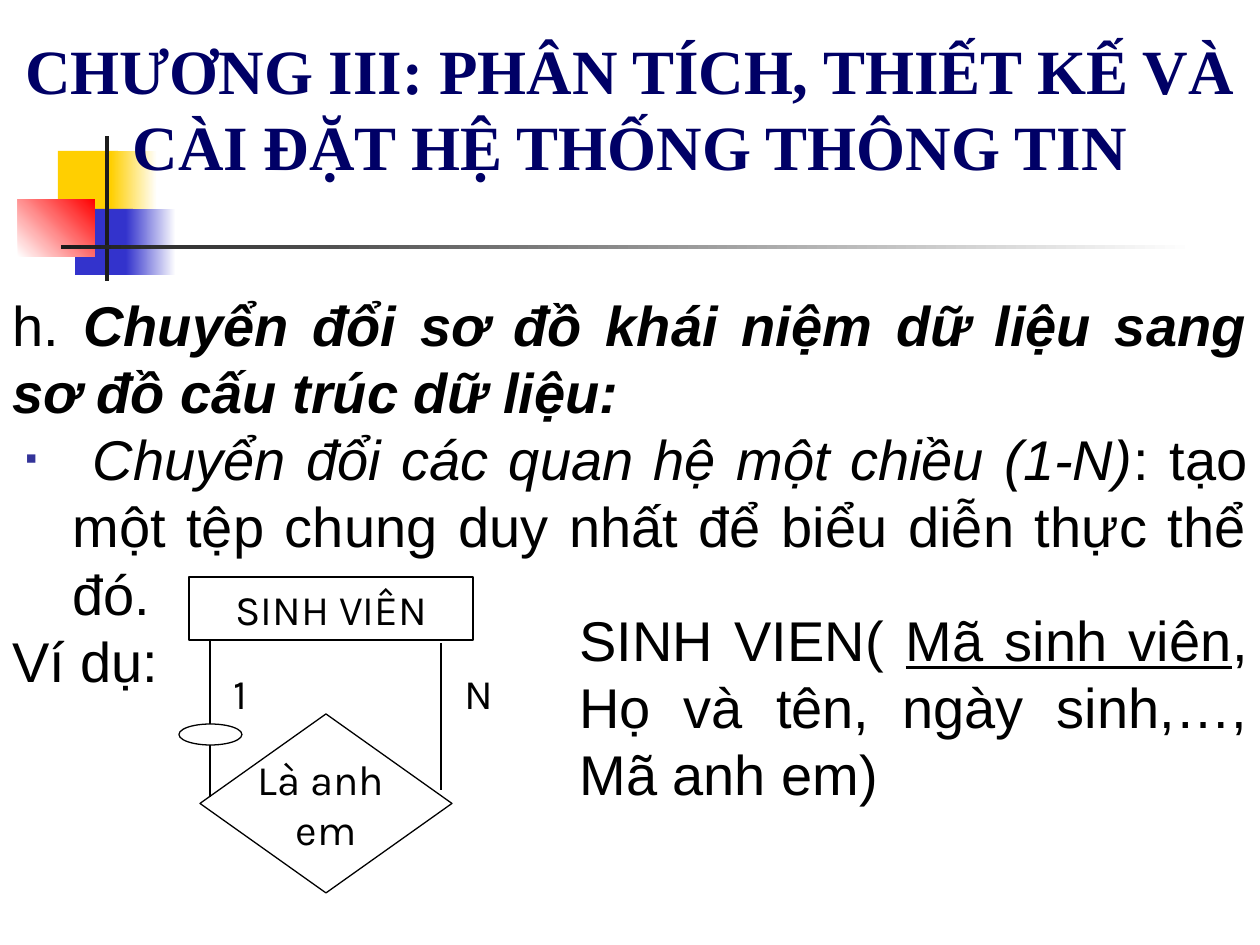
from dataclasses import dataclass

from lxml import etree
from pptx import Presentation
from pptx.dml.color import RGBColor
from pptx.enum.shapes import MSO_CONNECTOR, MSO_SHAPE
from pptx.enum.text import MSO_ANCHOR, PP_ALIGN
from pptx.oxml.ns import qn
from pptx.util import Pt

RECTANGLE, DIAMOND, OVAL = MSO_SHAPE.RECTANGLE, MSO_SHAPE.DIAMOND, MSO_SHAPE.OVAL
STRAIGHT = MSO_CONNECTOR.STRAIGHT
TOP, MIDDLE, BOTTOM = MSO_ANCHOR.TOP, MSO_ANCHOR.MIDDLE, MSO_ANCHOR.BOTTOM
LEFT, CENTER, JUSTIFY = PP_ALIGN.LEFT, PP_ALIGN.CENTER, PP_ALIGN.JUSTIFY

PX_PER_INCH = 126
SLIDE_BOX = (0, 0, 1260, 945)


@dataclass(frozen=True)
class Theme:
    white: str = "FFFFFF"
    ink: str = "000000"
    title: str = "000066"
    bullet: str = "333399"
    yellow: str = "FFCF01"
    blue: str = "3333CC"
    red: str = "FF0000"
    bar: str = "1C1C1C"
    outline: float = 0.75


THEME = Theme()
TITLE = {"name": "Times New Roman", "size": Pt(36), "bold": True, "color": THEME.title}
BODY = {"name": "Arial", "size": Pt(32), "color": THEME.ink}
LABEL = {"name": "Karla", "size": Pt(24), "color": THEME.ink}


def px(length):
    return round(length * 914400 / PX_PER_INCH)


def place(box, left, top, width, height):
    """Turn a position relative to box into slide EMU."""
    return [px(n) for n in (box[0] + left, box[1] + top, width, height)]


def add_paragraph(frame, runs, align, first=False):
    """Add runs, given as (text, format) pairs, as one paragraph."""
    paragraph = frame.paragraphs[0] if first else frame.add_paragraph()
    paragraph.alignment = align
    for text, style in runs:
        run = paragraph.add_run()
        run.text = text
        for attribute, value in style.items():
            if attribute == "color":
                run.font.color.rgb = RGBColor.from_string(value)
            else:
                setattr(run.font, attribute, value)
    return paragraph


def fill_text(shape, paragraphs, align, anchor=TOP, wrap=True):
    frame = shape.text_frame
    frame.word_wrap = wrap
    frame.vertical_anchor = anchor
    return [add_paragraph(frame, runs, align, first=index == 0)
            for index, runs in enumerate(paragraphs)]


def add_text(slide, position, paragraphs, align, anchor=TOP):
    return fill_text(slide.shapes.add_textbox(*position), paragraphs, align, anchor)


def add_block(slide, position, colors, angle=0):
    """Add a borderless rectangle, solid or with a two-colour gradient."""
    block = slide.shapes.add_shape(RECTANGLE, *position)
    block.shadow.inherit = False
    block.line.fill.background()
    if len(colors) == 1:
        block.fill.solid()
        block.fill.fore_color.rgb = RGBColor.from_string(colors[0])
        return
    block.fill.gradient()
    block.fill.gradient_angle = angle
    for stop, color in zip(block.fill.gradient_stops, colors):
        stop.color.rgb = RGBColor.from_string(color)


def set_outline(line):
    line.color.rgb = RGBColor.from_string(THEME.ink)
    line.width = Pt(THEME.outline)


def add_node(slide, kind, position):
    node = slide.shapes.add_shape(kind, *position)
    node.shadow.inherit = False
    node.fill.solid()
    node.fill.fore_color.rgb = RGBColor.from_string(THEME.white)
    set_outline(node.line)
    return node


def add_vertical_link(slide, box, x, top, bottom):
    left, start, _, height = place(box, x, top, 0, bottom - top)
    link = slide.shapes.add_connector(STRAIGHT, left, start, left, start + height)
    set_outline(link.line)
    etree.SubElement(link.element.spPr, qn("a:effectLst"))


def set_bullet(paragraph, char, margin, hang):
    properties = paragraph._p.get_or_add_pPr()
    properties.set("marL", str(px(margin)))
    properties.set("indent", str(-px(hang)))
    color = etree.SubElement(properties, qn("a:buClr"))
    etree.SubElement(color, qn("a:srgbClr"), val=THEME.bullet)
    etree.SubElement(properties, qn("a:buSzPct"), val="60000")
    etree.SubElement(properties, qn("a:buFont"), typeface="Arial")
    etree.SubElement(properties, qn("a:buChar"), char=char)


def draw_ornament(slide, box):
    t = THEME
    blocks = [
        ((40, 15, 60, 66), [t.yellow], 0),
        ((93, 15, 46, 66), [t.yellow, t.white], 0),
        ((57, 73, 58, 66), [t.blue], 0),
        ((108, 73, 50, 66), [t.blue, t.white], 0),
        ((0, 63, 77, 58), [t.white, t.red], 45),
        ((87, 0, 4, 145), [t.bar], 0),
        ((43, 109, 1134, 4), [t.bar, t.white], 0),
    ]
    for part, colors, angle in blocks:
        add_block(slide, place(box, *part), colors, angle)


def draw_title(slide, box):
    heading = "CHƯƠNG III: PHÂN TÍCH, THIẾT KẾ VÀ CÀI ĐẶT HỆ THỐNG THÔNG TIN"
    add_text(slide, place(box, 0, 0, *box[2:]), [[(heading, TITLE)]], CENTER, BOTTOM)


def draw_body(slide, box):
    section = "Chuyển đổi sơ đồ khái niệm dữ liệu sang sơ đồ cấu trúc dữ liệu:"
    rule = ": tạo một tệp chung duy nhất để biểu diễn thực thể đó."
    paragraphs = [
        [("h. ", BODY), (section, {**BODY, "bold": True, "italic": True})],
        [(" Chuyển đổi các quan hệ một chiều (1-N)", {**BODY, "italic": True}),
         (rule, BODY)],
        [("Ví dụ:", BODY)],
    ]
    position = place(box, 0, 0, *box[2:])
    _, conversion, _ = add_text(slide, position, paragraphs, JUSTIFY)
    set_bullet(conversion, "▪", margin=60, hang=47)


def draw_relation_diagram(slide, box):
    relation = add_node(slide, DIAMOND, place(box, 21, 137, 252, 179))
    fill_text(relation, [[("Là anh ", LABEL)], [("em", LABEL)]], CENTER, MIDDLE, wrap=False)
    for x, top, bottom in ((31, 63, 220), (262, 66, 213)):
        add_vertical_link(slide, box, x, top, bottom)
    entity = add_node(slide, RECTANGLE, place(box, 10, 0, 284, 63))
    fill_text(entity, [[("SINH VIÊN", LABEL)]], CENTER)
    add_node(slide, OVAL, place(box, 0, 147, 63, 21))
    for cardinality, x, width in (("1", 42, 73), ("N", 273, 53)):
        add_text(slide, place(box, x, 84, width, 63), [[(cardinality, LABEL)]], LEFT)


def draw_schema(slide, box):
    runs = [
        ("SINH VIEN( ", BODY),
        ("Mã sinh viên", {**BODY, "underline": True}),
        (", Họ và tên, ngày sinh,…, Mã anh em)", BODY),
    ]
    add_text(slide, place(box, 0, 0, *box[2:]), [runs], JUSTIFY)


def main():
    deck = Presentation()
    deck.slide_width, deck.slide_height = place(SLIDE_BOX, *SLIDE_BOX)[2:]
    slide = deck.slides.add_slide(deck.slide_layouts[6])
    draw_ornament(slide, (18, 136, 1177, 145))
    draw_title(slide, (0, 0, 1260, 189))
    draw_body(slide, (0, 284, 1260, 661))
    draw_relation_diagram(slide, (179, 577, 326, 316))
    draw_schema(slide, (567, 599, 693, 214))
    deck.save("out.pptx")


if __name__ == "__main__":
    main()
